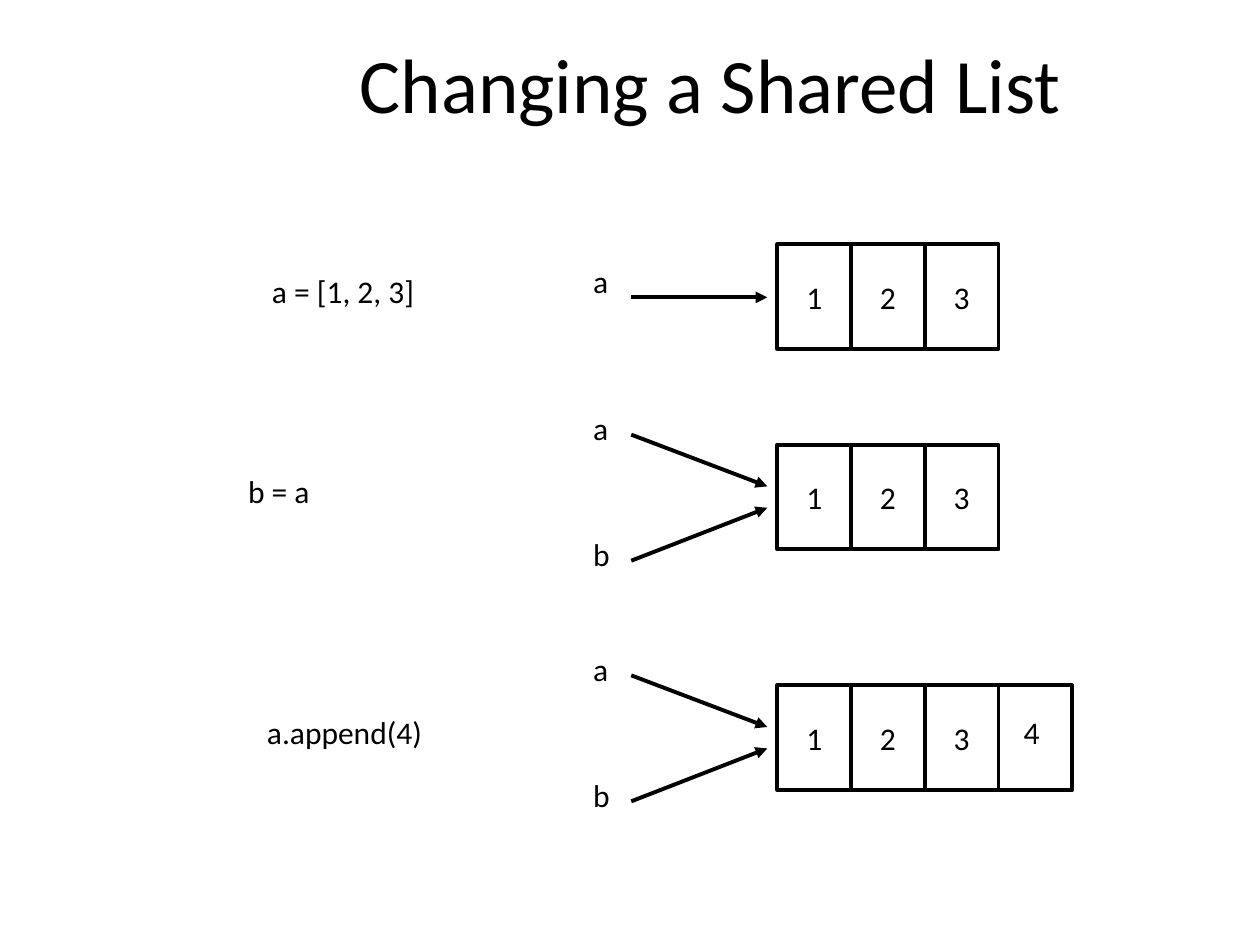
"""Build the slide on how two names share one changing list."""
from pptx import Presentation
from pptx.dml.color import RGBColor
from pptx.enum.shapes import MSO_CONNECTOR, MSO_SHAPE
from pptx.enum.text import MSO_ANCHOR, PP_ALIGN
from pptx.oxml.ns import qn
from pptx.util import Inches, Pt
from lxml.etree import SubElement

BLACK = RGBColor(0, 0, 0)
FONT = "Calibri"
LINE_WIDTH = Pt(2.24)
CELL_LEFT, CELL_WIDTH, CELL_HEIGHT = 6.17, 0.585, 0.83
NAME_LEFT, ARROW_START, ARROW_END = 4.61, 5.01, 6.09
LABEL_HEIGHT = 0.4
STATEMENT_DROP = 0.17

TITLE = "Changing a Shared List"
# Each name: text, then drops below the list top of its label, arrow start and arrow end
SINGLE = [("a", 0.09, 0.42, 0.42)]
SHARED = [("a", -0.33, -0.08, 0.33), ("b", 0.67, 0.92, 0.5)]
# Each step: statement, its left and width, list top, names, list values, appended value
STEPS = [
    ("a = [1, 2, 3]", 2.06, 1.71, 1.94, SINGLE, ["1", "2", "3"], None),
    ("b = a", 1.87, 0.88, 3.53, SHARED, ["1", "2", "3"], None),
    ("a.append(4)", 2.02, 1.72, 5.44, SHARED, ["1", "2", "3"], "4"),
]

prs = Presentation()
prs.slide_width, prs.slide_height = Inches(10), Inches(7.5)
slide = prs.slides.add_slide(prs.slide_layouts[6])


def write(frame, text, size=18, align=PP_ALIGN.LEFT, anchor=MSO_ANCHOR.TOP):
    frame.word_wrap = True
    frame.vertical_anchor = anchor
    paragraph = frame.paragraphs[0]
    paragraph.text = text
    paragraph.alignment = align
    paragraph.font.name = FONT
    paragraph.font.size = Pt(size)
    paragraph.font.color.rgb = BLACK


def add_label(text, left, top, width, height=LABEL_HEIGHT, **style):
    label = slide.shapes.add_textbox(Inches(left), Inches(top), Inches(width), Inches(height))
    write(label.text_frame, text, **style)


def add_cell(index, top, value=None):
    cell = slide.shapes.add_shape(
        MSO_SHAPE.RECTANGLE, Inches(CELL_LEFT + index * CELL_WIDTH), Inches(top),
        Inches(CELL_WIDTH), Inches(CELL_HEIGHT))
    cell.shadow.inherit = False
    cell.fill.background()
    cell.line.color.rgb = BLACK
    cell.line.width = LINE_WIDTH
    if value:
        write(cell.text_frame, value, align=PP_ALIGN.CENTER, anchor=MSO_ANCHOR.MIDDLE)


def add_arrow(start_y, end_y):
    arrow = slide.shapes.add_connector(
        MSO_CONNECTOR.STRAIGHT, Inches(ARROW_START), Inches(start_y),
        Inches(ARROW_END), Inches(end_y))
    arrow.line.color.rgb = BLACK
    arrow.line.width = LINE_WIDTH
    SubElement(arrow.line._get_or_add_ln(), qn("a:tailEnd"), type="triangle")
    SubElement(arrow._element.spPr, qn("a:effectLst"))


add_label(TITLE, 1.5, 0.28, 8.28, 0.75, size=44, align=PP_ALIGN.CENTER, anchor=MSO_ANCHOR.MIDDLE)
for statement, left, width, top, names, values, appended in STEPS:
    add_label(statement, left, top + STATEMENT_DROP, width)
    for name, label_drop, start_drop, end_drop in names:
        add_label(name, NAME_LEFT, top + label_drop, 0.35)
        add_arrow(top + start_drop, top + end_drop)
    for index, value in enumerate(values):
        add_cell(index, top, value)
    if appended:
        add_cell(len(values), top)
        add_label(appended, CELL_LEFT + len(values) * CELL_WIDTH + 0.1, top + STATEMENT_DROP, 0.35)

prs.save("out.pptx")
